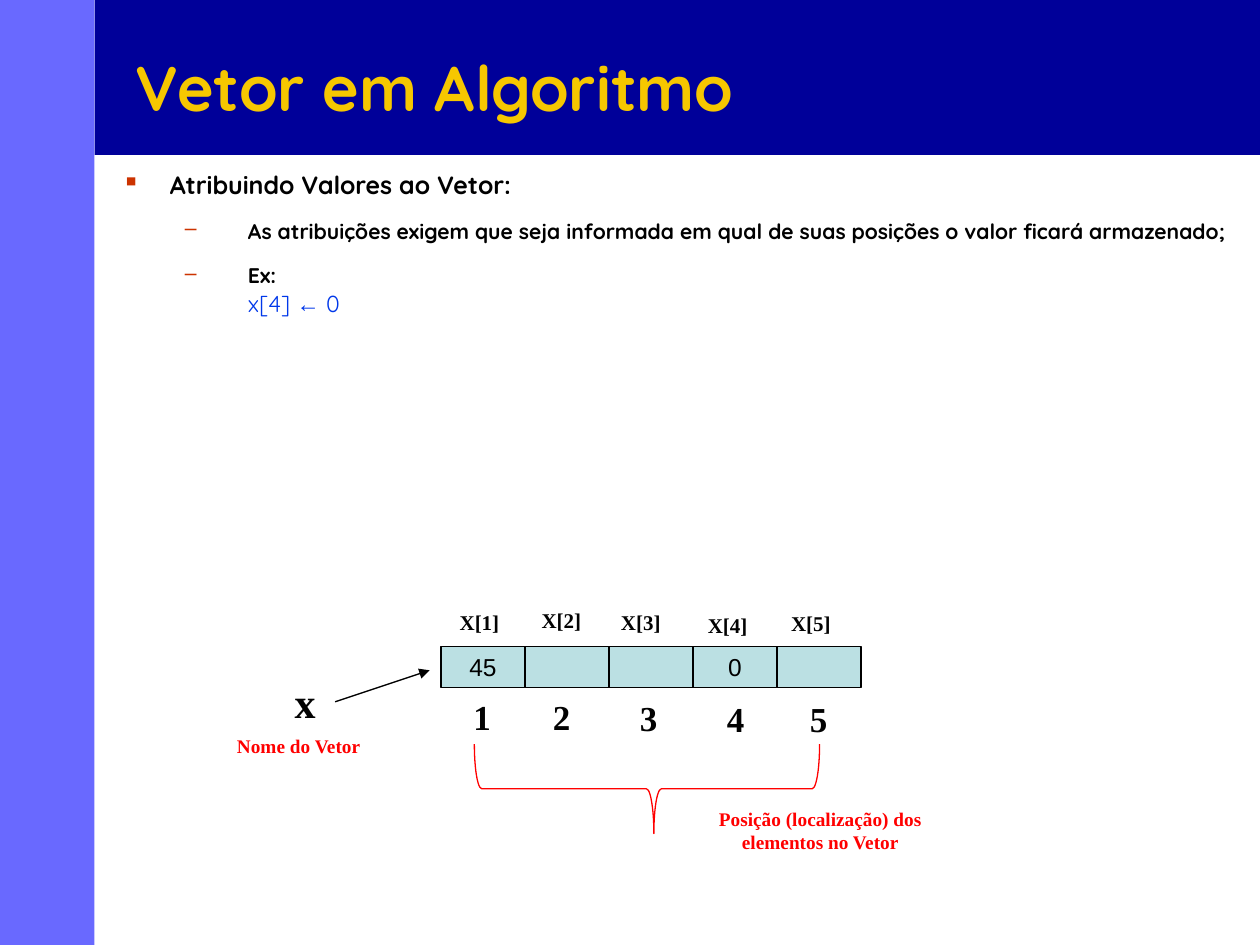
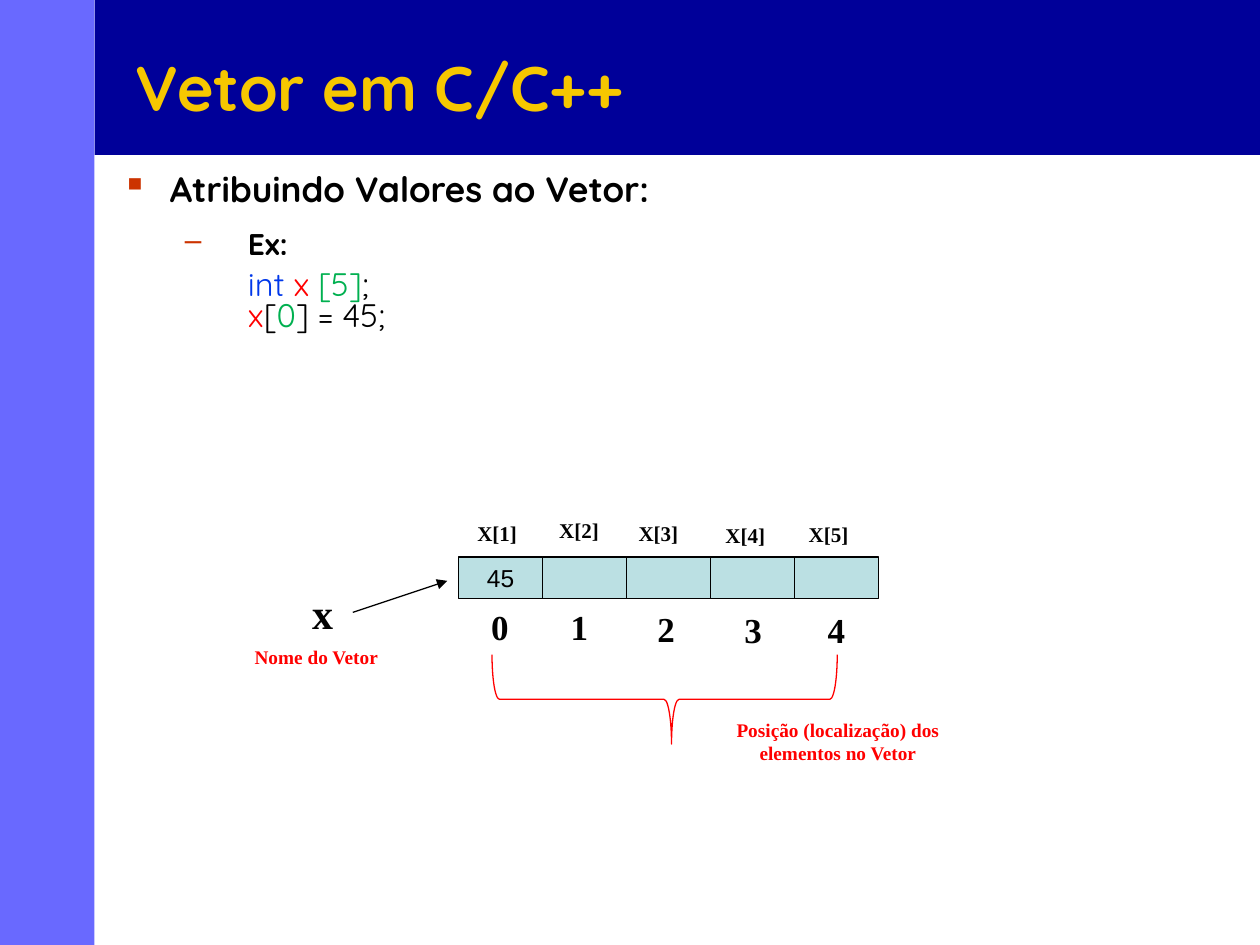
from lxml import etree
from pptx import Presentation, util as u
from pptx.dml.color import RGBColor
from pptx.enum import shapes, text
from pptx.oxml.ns import qn

COLORS = {
    "band": "000099", "side": "6969FF", "title": "F6C700", "bullet": "CC3300",
    "black": "000000", "ink": "020202", "cell": "BBE0E3",
    "red": "FF0000", "blue": "0038EA", "green": "00B050",
}
SANS, SERIF, PLAIN = "Quicksand", "Times New Roman", "Arial"

# Label places, measured from the top left corner of the row of cells
CELL_W, CELL_H = 2 / 3, 0.33
NAME_PLACES = [(0.05, -0.34), (0.7, -0.36), (1.33, -0.34), (2.02, -0.32), (2.68, -0.33)]
INDEX_PLACES = [(0.16, 0.34), (0.79, 0.34), (1.48, 0.35), (2.17, 0.36), (2.83, 0.36)]


def rgb(name):
    return RGBColor.from_string(COLORS[name])


def inches(*lengths):
    return [u.Inches(length) for length in lengths]


class Deck:
    def __init__(self):
        self.prs = Presentation()
        self.prs.slide_width, self.prs.slide_height = inches(10, 7.5)
        self.slide = None

    def new_slide(self, title):
        self.slide = self.prs.slides.add_slide(self.prs.slide_layouts[6])
        self.shape("RECTANGLE", 0.75, 0, 9.25, 1.23, fill="band")
        self.shape("RECTANGLE", 0, 0, 0.75, 7.5, fill="side")
        self.label(title, 0.98, 0.3, 8.52, 0.77, 36, "title", SANS,
                   anchor=text.MSO_ANCHOR.MIDDLE)

    def style(self, paragraph, size, color=None, font=SANS, bold=True):
        paragraph.font.size = u.Pt(size)
        paragraph.font.name = font
        paragraph.font.bold = bold
        if color:
            paragraph.font.color.rgb = rgb(color)

    def shape(self, kind, left, top, width, height, fill=None, line=None):
        part = self.slide.shapes.add_shape(
            shapes.MSO_SHAPE[kind], *inches(left, top, width, height))
        part.shadow.inherit = False
        if fill:
            part.fill.solid()
            part.fill.fore_color.rgb = rgb(fill)
        else:
            part.fill.background()
        if line:
            part.line.color.rgb = rgb(line)
            part.line.width = u.Pt(0.75)
        else:
            part.line.fill.background()
        return part

    def frame(self, left, top, width, height):
        box = self.slide.shapes.add_textbox(*inches(left, top, width, height))
        box.text_frame.word_wrap = True
        return box.text_frame

    def label(self, words, left, top, width, height, size, color="ink", font=SERIF,
              align=text.PP_ALIGN.LEFT, anchor=text.MSO_ANCHOR.TOP):
        frame = self.frame(left, top, width, height)
        frame.vertical_anchor = anchor
        paragraph = frame.paragraphs[0]
        paragraph.text = words
        paragraph.alignment = align
        self.style(paragraph, size, color, font)

    def cell(self, value, left, top):
        box = self.shape("RECTANGLE", left, top, CELL_W, CELL_H, "cell", "black")
        if value:
            box.text_frame.word_wrap = False
            paragraph = box.text_frame.paragraphs[0]
            paragraph.text = value
            paragraph.alignment = text.PP_ALIGN.CENTER
            self.style(paragraph, 14, "black", PLAIN, bold=False)

    def arrow(self, x1, y1, x2, y2):
        line = self.slide.shapes.add_connector(
            shapes.MSO_CONNECTOR.STRAIGHT, *inches(x1, y1, x2, y2))
        line.line.color.rgb = rgb("black")
        line.line.width = u.Pt(0.75)
        etree.SubElement(line.line._get_or_add_ln(), qn("a:tailEnd"), type="triangle")
        etree.SubElement(line._element.spPr, qn("a:effectLst"))

    def outline(self, items):
        """Each item: level, bullet, size, space before, runs of (words, colour[, font])."""
        frame = self.frame(0.87, 1.34, 9.17, 1.62)
        for number, (level, bullet, size, before, runs) in enumerate(items):
            paragraph = frame.add_paragraph() if number else frame.paragraphs[0]
            paragraph.level = level
            paragraph.alignment = text.PP_ALIGN.JUSTIFY
            paragraph.line_spacing = 0.8
            paragraph.space_before = u.Pt(before)
            props = paragraph._p.get_or_add_pPr()
            margin, hang = ((0.38, -0.38), (1, -0.5))[level]
            props.set("marL", str(u.Inches(margin)))
            props.set("indent", str(u.Inches(hang if bullet else 0)))
            if bullet:
                tint = etree.SubElement(props, qn("a:buClr"))
                etree.SubElement(tint, qn("a:srgbClr"), val=COLORS["bullet"])
                etree.SubElement(props, qn("a:buChar"), char=bullet)
            else:
                etree.SubElement(props, qn("a:buNone"))
            self.style(paragraph, size, bold=bool(bullet))
            for words, color, *font in runs:
                run = paragraph.add_run()
                run.text = words
                run.font.color.rgb = rgb(color)
                if font:
                    run.font.name = font[0]

    def vector(self, left, top, values, first_index):
        # Cells, with the element names above and the positions below
        for i, value in enumerate(values):
            self.cell(value, left + i * CELL_W, top)
            dx, dy = NAME_PLACES[i]
            self.label(f"X[{i + 1}]", left + dx, top + dy, 0.53, 0.3, 12)
            dx, dy = INDEX_PLACES[i]
            self.label(str(first_index + i), left + dx, top + dy, 0.36, 0.44, 20)

        # Vector name and its arrow
        center = text.PP_ALIGN.CENTER
        self.label("x", left - 1.26, top + 0.19, 0.54, 0.5, 24)
        self.label("Nome do Vetor", left - 1.79, top + 0.65, 1.32, 0.29, 11, "red",
                   align=center)
        self.arrow(left - 0.84, top + 0.44, left - 0.09, top + 0.19)

        # Brace over the positions, turned to point down
        brace = self.shape("LEFT_BRACE", left + 1.28, top - 0.24, 0.71, 2.74, line="red")
        brace.rotation = 270
        brace.adjustments[1] = 0.52
        self.label("Posição (localização) dos elementos no Vetor",
                   left + 1.82, top + 1.23, 2.38, 0.47, 11, "red", align=center)


def main():
    deck = Deck()
    heading = [("Atribuindo Valores ao Vetor:", "black")]
    example = [("Ex:", "black")]

    # Vector in pseudocode
    deck.new_slide("Vetor em Algoritmo")
    deck.outline([
        (0, "▪", 14.3, 0, heading),
        (1, "–", 12.1, 13.8, [("As atribuições exigem que seja informada em qual de suas "
                               "posições o valor ficará armazenado;", "black")]),
        (1, "–", 12.1, 13.8, example),
        (1, None, 13.2, 4, [("x[4] ", "blue"), ("←", "blue", PLAIN), (" 0", "blue")]),
    ])
    deck.vector(3.5, 5.13, ["45", "", "", "0", ""], first_index=1)

    # Vector in C/C++
    deck.new_slide("Vetor em C/C++")
    deck.outline([
        (0, "▪", 20.1, 0, heading),
        (1, "–", 17.1, 13.8, example),
        (1, None, 18.6, 5.5, [("int ", "blue"), ("x ", "red"), ("[5]", "green"),
                              (";", "black")]),
        (1, None, 18.6, 0, [("x", "red"), ("[", "black"), ("0", "green"),
                            ("] = 45;", "black")]),
    ])
    deck.vector(3.64, 4.42, ["45", "", "", "", ""], first_index=0)

    deck.prs.save("out.pptx")


if __name__ == "__main__":
    main()
